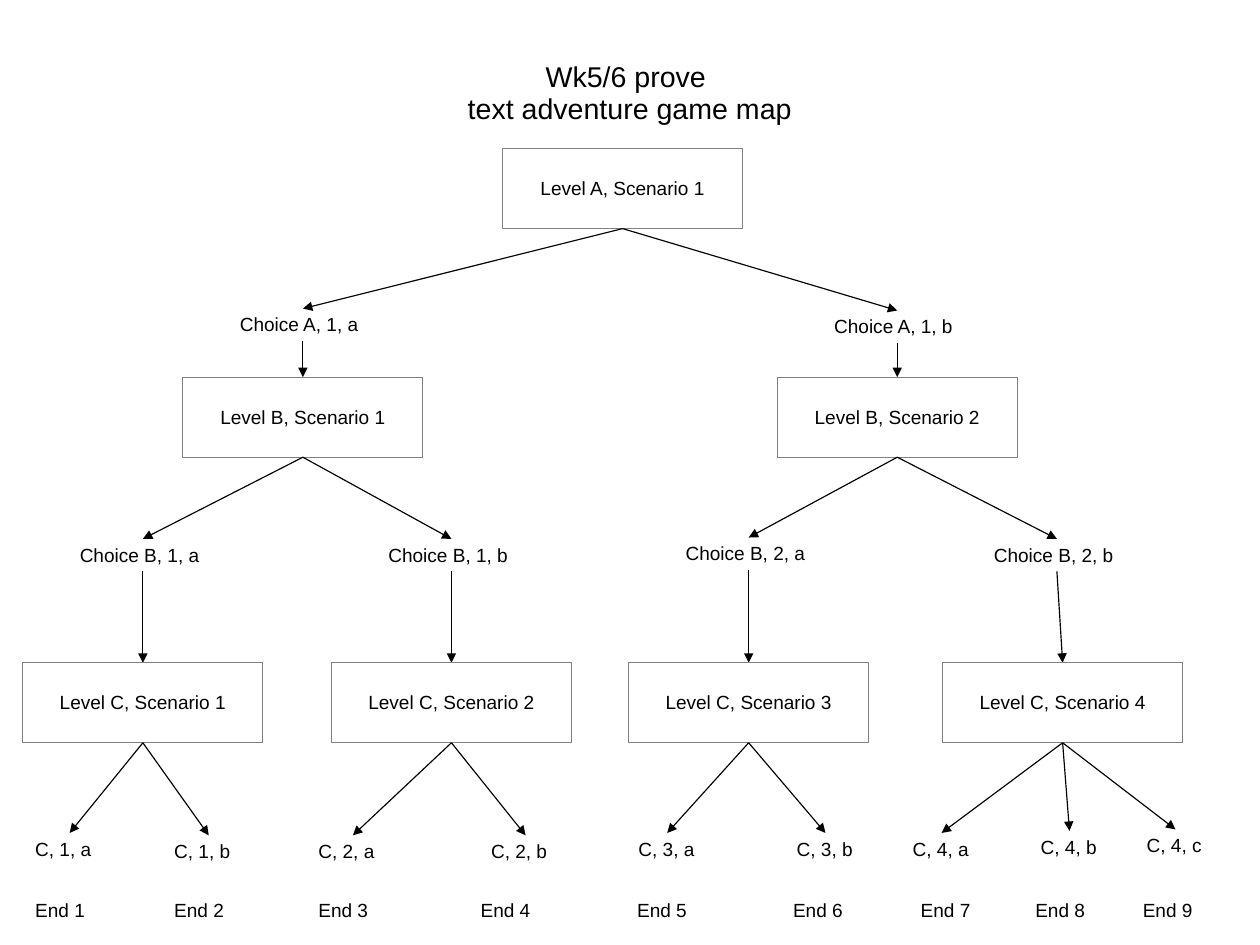
from lxml import etree
from pptx import Presentation
from pptx.dml.color import RGBColor
from pptx.enum.shapes import MSO_CONNECTOR as CONNECTOR, MSO_SHAPE as SHAPE
from pptx.enum.text import MSO_ANCHOR as ANCHOR, MSO_AUTO_SIZE as AUTO_SIZE, PP_ALIGN as ALIGN
from pptx.oxml.ns import qn
from pptx.util import Pt

COLORS = {"text": "000000", "border": "808080", "arrow": "000000"}
BOX_WIDTH, BOX_HEIGHT = 151.2, 50.4
LABEL_HEIGHT = 20.4
END_TOP, END_WIDTH = 563.3, 54.7

# level, number, center, top, label width, choices as (center, top)
SCENARIOS = [
    ("A", 1, 392.2, 93.6, 93.6, [(190.8, 194.4), (565.2, 195.6)]),
    ("B", 1, 190.8, 237.6, 93.6, [(90, 339.5), (284.4, 339.5)]),
    ("B", 2, 565.2, 237.6, 93.6, [(471.6, 338.6), (665.8, 339.5)]),
    ("C", 1, 90, 417.5, 57.6, [(43.9, 524.7), (131.5, 526.2)]),
    ("C", 2, 284.4, 417.5, 57.6, [(222.3, 526.2), (331.1, 526.2)]),
    ("C", 3, 471.6, 417.5, 50.4, [(420.3, 524.7), (520, 524.7)]),
    ("C", 4, 669.4, 417.5, 50.4, [(593.1, 524.7), (673.7, 523.4), (740.5, 522.5)]),
]
END_LEFTS = [15.1, 102.7, 193.5, 295.7, 394.3, 492.5, 572.9, 645.1, 712.8]

deck = Presentation()
deck.slide_width, deck.slide_height = Pt(793.7), Pt(595.28)
page = deck.slides.add_slide(deck.slide_layouts[5])


def write(box, text, size=12, align=ALIGN.LEFT, anchor=ANCHOR.TOP, margins=(7.2, 4, 7.2, 3.6)):
    """Fill a shape with one formatted paragraph; margins run left, top, right, bottom."""
    frame = box.text_frame
    frame.text = text
    frame.word_wrap = True
    frame.auto_size = AUTO_SIZE.NONE
    frame.vertical_anchor = anchor
    frame.margin_left, frame.margin_top, frame.margin_right, frame.margin_bottom = map(Pt, margins)
    para = frame.paragraphs[0]
    para.alignment = align
    para.line_spacing = 0.93
    para.font.size = Pt(size)
    para.font.name = "Arial"
    para.font.color.rgb = RGBColor.from_string(COLORS["text"])


def add_arrow(start, end):
    arrow = page.shapes.add_connector(CONNECTOR.STRAIGHT, *map(Pt, start + end))
    arrow.line.color.rgb = RGBColor.from_string(COLORS["arrow"])
    arrow.line.width = Pt(0.75)
    etree.SubElement(arrow.line._get_or_add_ln(), qn("a:tailEnd"), type="triangle")
    etree.SubElement(arrow._element.spPr, qn("a:effectLst"))


title = page.shapes.title
title.left, title.top, title.width, title.height = Pt(39.6), Pt(23.8), Pt(714.2), Pt(69.8)
write(title, "Wk5/6 prove \vtext adventure game map", 18, ALIGN.CENTER, ANCHOR.MIDDLE, (0, 1.4, 0, 0))

# Every choice above level C leads to the next scenario in the list
next_scenarios = iter(SCENARIOS[1:])
for level, number, center, top, label_width, choices in SCENARIOS:
    scenario = page.shapes.add_shape(
        SHAPE.RECTANGLE, Pt(center - BOX_WIDTH / 2), Pt(top), Pt(BOX_WIDTH), Pt(BOX_HEIGHT))
    scenario.shadow.inherit = False
    scenario.fill.background()
    scenario.line.color.rgb = RGBColor.from_string(COLORS["border"])
    scenario.line.width = Pt(0.75)
    write(scenario, f"Level {level}, Scenario {number}", align=ALIGN.CENTER,
          anchor=ANCHOR.MIDDLE, margins=(0, 0.9, 0, 0))

    prefix = "" if level == "C" else "Choice "
    for letter, (choice_center, choice_top) in zip("abc", choices):
        label = page.shapes.add_textbox(
            Pt(choice_center - label_width / 2), Pt(choice_top), Pt(label_width), Pt(LABEL_HEIGHT))
        write(label, f"{prefix}{level}, {number}, {letter}")
        add_arrow((center, top + BOX_HEIGHT), (choice_center, choice_top))
        if level != "C":
            _, _, next_center, next_top, _, _ = next(next_scenarios)
            add_arrow((choice_center, choice_top + LABEL_HEIGHT), (next_center, next_top))

for number, left in enumerate(END_LEFTS, start=1):
    ending = page.shapes.add_textbox(Pt(left), Pt(END_TOP), Pt(END_WIDTH), Pt(LABEL_HEIGHT))
    write(ending, f"End {number}")

deck.save("out.pptx")
